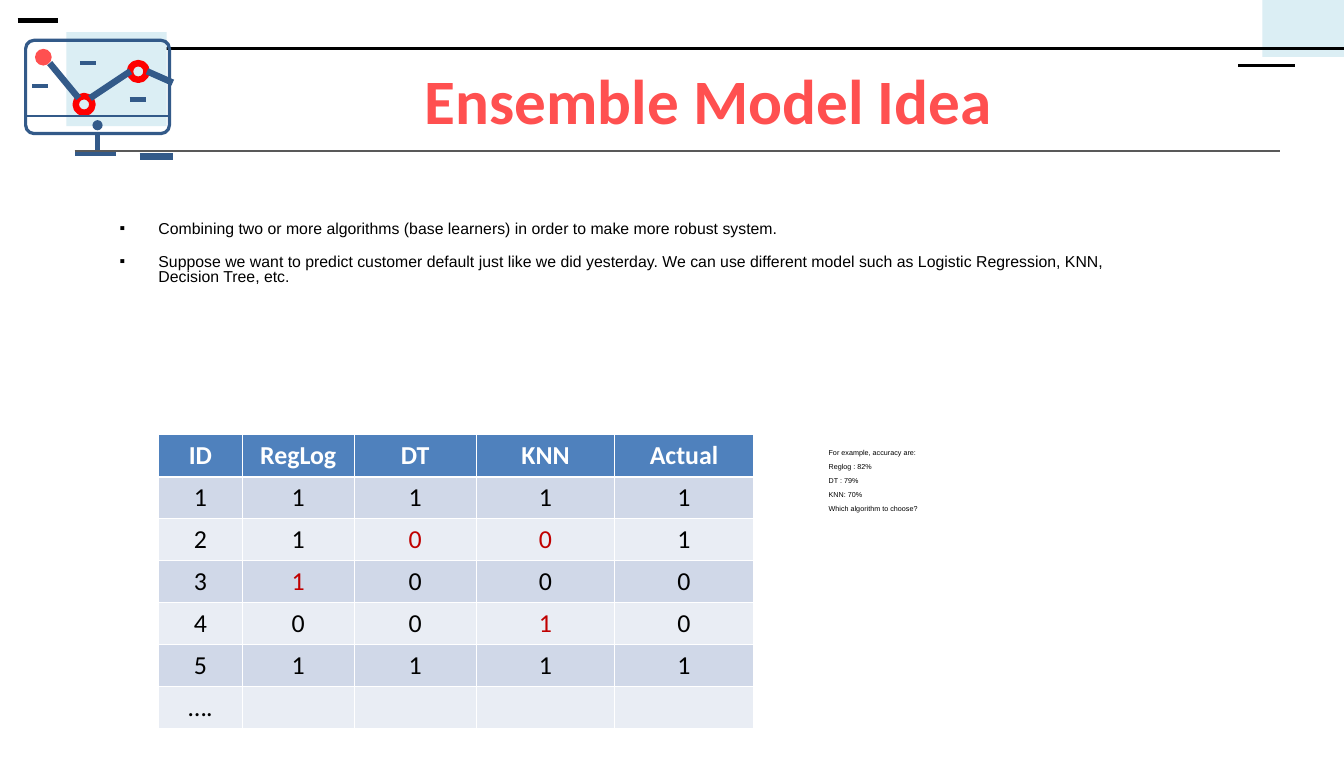
"""Build the Ensemble Model Idea slide with its results table and accuracy note."""
import dataclasses
import typing

import lxml.etree
import pptx
import pptx.dml.color
import pptx.enum.shapes
import pptx.enum.text
import pptx.oxml.ns
import pptx.util

Cm = pptx.util.Cm
Pt = pptx.util.Pt
qn = pptx.oxml.ns.qn
Kind = pptx.enum.shapes.MSO_SHAPE
Align = pptx.enum.text.PP_ALIGN


@dataclasses.dataclass(frozen=True)
class Theme:
    black: str = "000000"
    white: str = "FFFFFF"
    coral: str = "FF5050"
    pale: str = "DBEEF4"
    navy: str = "335A89"
    red: str = "FF0000"
    rule: str = "595959"
    header: str = "4F81BD"
    bands: tuple[str, str] = ("D0D8E8", "E9EDF4")
    error: str = "C00000"
    heading_font: str = "Calibri"
    body_font: str = "Arial"
    title_size: float = 44
    table_size: float = 18
    body_size: float = 11
    note_size: float = 5


@dataclasses.dataclass(frozen=True)
class Stroke:
    start: tuple[float, float]
    end: tuple[float, float]
    width: float
    color: str


@dataclasses.dataclass(frozen=True)
class Figure:
    kind: Kind
    box: tuple[float, float, float, float]
    fill: str | None = None
    line: str | None = None
    width: float = 0
    corner: float | None = None


THEME = Theme()
BACKDROP = [
    Figure(Kind.RECTANGLE, (30.99, 0, 2, 1.4), THEME.pale),
    Stroke((3.61, 1.19), (32.99, 1.19), 2.25, THEME.black),
    Stroke((0.43, 0.5), (1.42, 0.5), 3, THEME.black),
    Stroke((30.4, 1.6), (31.78, 1.6), 2.25, THEME.black),
    Stroke((30.71, 1.19), (31.78, 1.19), 2.25, THEME.black),
]
MONITOR_ICON = [
    Figure(Kind.RECTANGLE, (1.63, 0.79, 2.46, 2.31), THEME.pale),
    Stroke((3.43, 3.84), (4.24, 3.84), 4.5, THEME.navy),
    Figure(Kind.OVAL, (0.86, 1.2, 0.41, 0.41), THEME.coral),
    Figure(Kind.OVAL, (1.86, 2.36, 0.41, 0.41), None, THEME.red, 4.5),
    Figure(Kind.OVAL, (3.19, 1.55, 0.41, 0.41), None, THEME.red, 4.5),
    Stroke((1.22, 1.55), (1.93, 2.41), 4.5, THEME.navy),
    Stroke((2.21, 2.41), (3.2, 1.75), 4.5, THEME.navy),
    Stroke((3.61, 1.75), (4.24, 2.03), 4.5, THEME.navy),
    Stroke((1.96, 1.55), (2.36, 1.55), 3, THEME.navy),
    Stroke((3.18, 2.44), (3.58, 2.44), 3, THEME.navy),
    Stroke((0.79, 2.11), (1.19, 2.11), 3, THEME.navy),
    Figure(Kind.ROUNDED_RECTANGLE, (0.63, 0.99, 3.53, 2.29), None, THEME.navy, 2.25, 0.09),
    Stroke((0.63, 2.84), (4.17, 2.84), 1.5, THEME.navy),
    Stroke((1.85, 3.78), (2.84, 3.78), 3, THEME.navy),
    Stroke((2.39, 3.78), (2.39, 3.28), 3, THEME.navy),
    Figure(Kind.OVAL, (2.27, 2.95, 0.25, 0.25), THEME.navy),
]
TITLE_RULE = Stroke((1.83, 3.71), (31.42, 3.71), 1, THEME.rule)
BULLETS = [
    "Combining two or more algorithms (base learners) in order to make more robust system.",
    "Suppose we want to predict customer default just like we did yesterday. "
    "We can use different model such as Logistic Regression, KNN, Decision Tree, etc.",
]
ACCURACY_NOTE = [
    "For example, accuracy are:",
    "Reglog : 82%",
    "DT : 79%",
    "KNN: 70%",
    "Which algorithm to choose?",
]
PREDICTIONS = [
    ["ID", "RegLog", "DT", "KNN", "Actual"],
    ["1", "1", "1", "1", "1"],
    ["2", "1", "0", "0", "1"],
    ["3", "1", "0", "0", "0"],
    ["4", "0", "0", "1", "0"],
    ["5", "1", "1", "1", "1"],
    ["….", "", "", "", ""],
]
COLUMN_WIDTHS = [2.06, 2.74, 3, 3.4, 3.4]
ROW_HEIGHT = 1.03


def rgb(color: str) -> pptx.dml.color.RGBColor:
    return pptx.dml.color.RGBColor.from_string(color)


def format_runs(paragraph: typing.Any, font: str, size: float, color: str, bold: bool = False) -> None:
    for run in paragraph.runs:
        run.font.name = font
        run.font.size = Pt(size)
        run.font.bold = bold
        run.font.color.rgb = rgb(color)


def draw_stroke(shapes: typing.Any, stroke: Stroke) -> None:
    points = [Cm(value) for value in (*stroke.start, *stroke.end)]
    connector = shapes.add_connector(pptx.enum.shapes.MSO_CONNECTOR.STRAIGHT, *points)
    connector.line.color.rgb = rgb(stroke.color)
    connector.line.width = Pt(stroke.width)
    lxml.etree.SubElement(connector._element.spPr, qn("a:effectLst"))


def draw_figure(shapes: typing.Any, figure: Figure) -> None:
    shape = shapes.add_shape(figure.kind, *map(Cm, figure.box))
    shape.shadow.inherit = False
    if figure.corner is not None:
        shape.adjustments[0] = figure.corner
    if figure.fill:
        shape.fill.solid()
        shape.fill.fore_color.rgb = rgb(figure.fill)
    else:
        shape.fill.background()
    if figure.line:
        shape.line.color.rgb = rgb(figure.line)
        shape.line.width = Pt(figure.width)
    else:
        shape.line.fill.background()


def draw_all(shapes: typing.Any, items: list[Stroke | Figure]) -> None:
    for item in items:
        if isinstance(item, Stroke):
            draw_stroke(shapes, item)
        else:
            draw_figure(shapes, item)


def add_bullet(paragraph: typing.Any) -> None:
    properties = paragraph._p.get_or_add_pPr()
    properties.set("marL", str(Cm(0.95)))
    properties.set("indent", str(-Cm(0.95)))
    color = lxml.etree.SubElement(properties, qn("a:buClr"))
    lxml.etree.SubElement(color, qn("a:srgbClr"), val=THEME.black)
    lxml.etree.SubElement(properties, qn("a:buFont"), typeface=THEME.body_font)
    lxml.etree.SubElement(properties, qn("a:buChar"), char="▪")


def add_text(shapes: typing.Any, box: tuple[float, float, float, float], lines: list[str],
             size: float, gap: float, bulleted: bool = False) -> None:
    frame = shapes.add_textbox(*map(Cm, box)).text_frame
    frame.word_wrap = True
    frame.text = "\n".join(lines)
    for index, paragraph in enumerate(frame.paragraphs):
        if bulleted:
            add_bullet(paragraph)
        paragraph.line_spacing = 0.8
        if index:
            paragraph.space_before = Pt(gap)
        format_runs(paragraph, THEME.body_font, size, THEME.black)


def add_borders(cell: typing.Any, widths: dict[str, float]) -> None:
    properties = cell._tc.get_or_add_tcPr()
    for side, width in widths.items():
        line = lxml.etree.SubElement(properties, qn(f"a:ln{side}"), w=str(Pt(width)))
        fill = lxml.etree.SubElement(line, qn("a:solidFill"))
        lxml.etree.SubElement(fill, qn("a:srgbClr"), val=THEME.white)


def add_predictions(shapes: typing.Any) -> None:
    frame = shapes.add_table(len(PREDICTIONS), len(COLUMN_WIDTHS), Cm(3.89), Cm(10.67),
                             Cm(sum(COLUMN_WIDTHS)), Cm(ROW_HEIGHT * len(PREDICTIONS)))
    table = frame.table
    for column, width in zip(table.columns, COLUMN_WIDTHS):
        column.width = Cm(width)
    for row_index, values in enumerate(PREDICTIONS):
        table.rows[row_index].height = Cm(ROW_HEIGHT)
        is_header = row_index == 0
        for column_index, value in enumerate(values):
            cell = table.cell(row_index, column_index)
            add_borders(cell, {"L": 0.45, "R": 0.45, "T": 1.47 if row_index == 1 else 0.45,
                               "B": 1.47 if is_header else 0.45})
            cell.fill.solid()
            cell.fill.fore_color.rgb = rgb(THEME.header if is_header else THEME.bands[(row_index - 1) % 2])
            cell.text_frame.text = value
            paragraph = cell.text_frame.paragraphs[0]
            paragraph.alignment = Align.CENTER
            is_wrong = not is_header and column_index > 0 and value != values[-1]
            color = THEME.white if is_header else THEME.error if is_wrong else THEME.black
            format_runs(paragraph, THEME.heading_font, THEME.table_size, color, is_header)


def main() -> None:
    presentation = pptx.Presentation()
    presentation.slide_width, presentation.slide_height = Cm(32.99), Cm(19.05)
    slide = presentation.slides.add_slide(presentation.slide_layouts[5])
    draw_all(slide.shapes, BACKDROP)
    draw_all(slide.shapes.add_group_shape().shapes, MONITOR_ICON)
    draw_stroke(slide.shapes, TITLE_RULE)
    title = slide.shapes.title
    title.left, title.top, title.width, title.height = Cm(4.9), Cm(1.17), Cm(24.99), Cm(2.51)
    title.text_frame.text = "Ensemble Model Idea"
    title.text_frame.vertical_anchor = pptx.enum.text.MSO_ANCHOR.MIDDLE
    heading = title.text_frame.paragraphs[0]
    heading.alignment = Align.CENTER
    format_runs(heading, THEME.heading_font, THEME.title_size, THEME.coral, True)
    add_text(slide.shapes, (2.69, 5.33, 26.19, 2.16), BULLETS, THEME.body_size, 12.6, True)
    add_predictions(slide.shapes)
    add_text(slide.shapes, (20.09, 10.92, 11.79, 2.16), ACCURACY_NOTE, THEME.note_size, 5)
    presentation.save("out.pptx")


if __name__ == "__main__":
    main()
